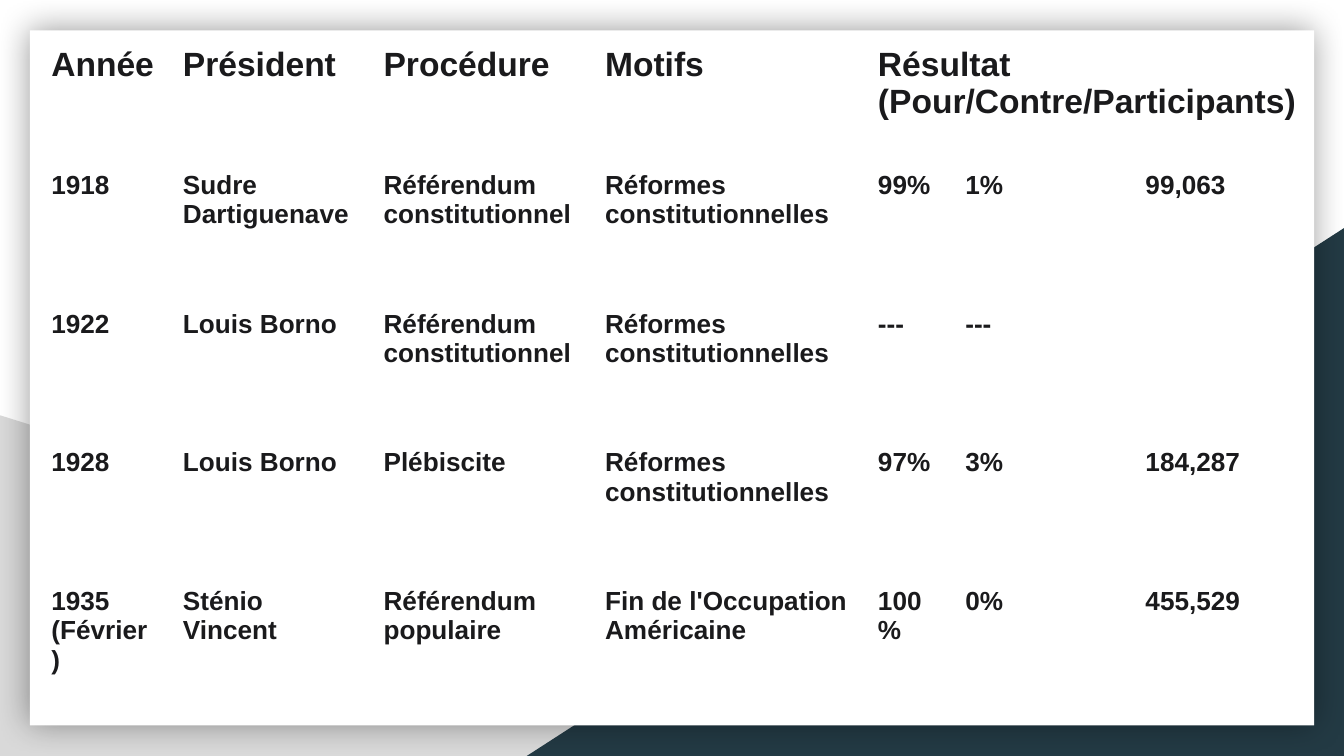
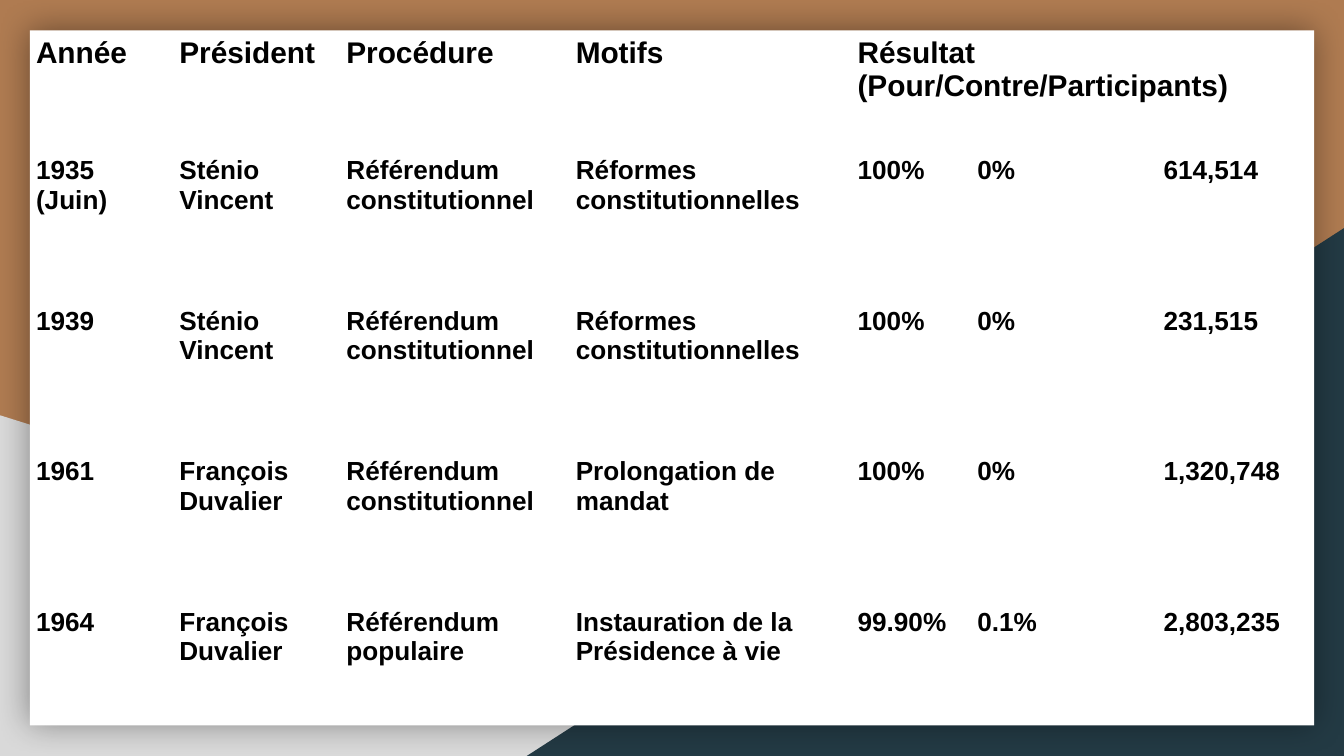
"""Build two slides that tabulate the referendums held in Haiti from 1918 to 1964."""

from dataclasses import dataclass

from lxml import etree
from pptx import Presentation
from pptx.dml.color import RGBColor
from pptx.enum.shapes import MSO_SHAPE
from pptx.oxml.ns import qn
from pptx.slide import Slide
from pptx.util import Pt

RECTANGLE = MSO_SHAPE.RECTANGLE
RIGHT_TRIANGLE = MSO_SHAPE.RIGHT_TRIANGLE

WHITE = RGBColor(0xFF, 0xFF, 0xFF)
BLACK = RGBColor(0x00, 0x00, 0x00)
INK = RGBColor(0x1A, 0x1A, 0x1C)
GREY = RGBColor(0xD9, 0xD9, 0xD9)
TEAL = RGBColor(0x23, 0x3A, 0x44)
COPPER = RGBColor(0xAF, 0x7B, 0x51)

FONT = "Arial"
BODY_SIZE = 14
CELL_MARGIN = Pt(7.2)
PLAIN_TABLE_STYLE = "{2D5ABB26-0587-4C30-8999-92F81FD0307C}"
RESULT_COLUMN = 4
HEADINGS = ("Année", "Président", "Procédure", "Motifs", "Résultat (Pour/Contre/Participants)", "", "")

CONSTITUTIONAL = "Référendum constitutionnel"
POPULAR = "Référendum populaire"
REFORMS = "Réformes constitutionnelles"


@dataclass(frozen=True)
class Backdrop:
    """A shape behind the table, measured in points."""

    kind: MSO_SHAPE
    left: float
    top: float
    width: float
    height: float
    color: RGBColor
    flipped: bool = False
    shadowed: bool = False


@dataclass(frozen=True)
class VotePage:
    """One slide of votes, measured in points."""

    background: RGBColor
    ink: RGBColor
    heading_size: float
    left: float
    top: float
    widths: tuple[float, ...]
    heading_height: float
    row_height: float
    votes: tuple[tuple[str, ...], ...]


BACKDROPS = (
    Backdrop(RIGHT_TRIANGLE, 0, 222.5, 580.3, 182.5, GREY),
    Backdrop(RIGHT_TRIANGLE, 282.2, 122.2, 437.8, 282.8, TEAL, flipped=True),
    Backdrop(RECTANGLE, 16, 16.2, 688, 372.4, WHITE, shadowed=True),
)

PAGES = (
    VotePage(
        WHITE, INK, 18, 20.3, 17.3, (70.5, 107.5, 118.7, 146.2, 46.8, 96.5, 96.5), 67, 74.3,
        (
            ("1918", "Sudre Dartiguenave", CONSTITUTIONAL, REFORMS, "99%", "1%", "99,063"),
            ("1922", "Louis Borno", CONSTITUTIONAL, REFORMS, "---", "---", ""),
            ("1928", "Louis Borno", "Plébiscite", REFORMS, "97%", "3%", "184,287"),
            ("1935 (Février)", "Sténio Vincent", POPULAR, "Fin de l'Occupation Américaine",
             "100%", "0%", "455,529"),
        ),
    ),
    VotePage(
        COPPER, BLACK, 16, 12.1, 12.2, (76.8, 89.5, 122.9, 151, 64.1, 99.8, 99.8), 64.2, 80.7,
        (
            ("1935 (Juin)", "Sténio Vincent", CONSTITUTIONAL, REFORMS, "100%", "0%", "614,514"),
            ("1939", "Sténio Vincent", CONSTITUTIONAL, REFORMS, "100%", "0%", "231,515"),
            ("1961", "François Duvalier", CONSTITUTIONAL, "Prolongation de mandat",
             "100%", "0%", "1,320,748"),
            ("1964", "François Duvalier", POPULAR, "Instauration de la Présidence à vie",
             "99.90%", "0.1%", "2,803,235"),
        ),
    ),
)


def draw_backdrop(slide: Slide, item: Backdrop) -> None:
    """Draw one borderless shape, mirrored or with a soft shadow if asked."""
    shape = slide.shapes.add_shape(
        item.kind, Pt(item.left), Pt(item.top), Pt(item.width), Pt(item.height)
    )
    shape.fill.solid()
    shape.fill.fore_color.rgb = item.color
    shape.line.fill.background()
    shape.shadow.inherit = False
    properties = shape.element.spPr
    if item.flipped:
        properties.find(qn("a:xfrm")).set("flipH", "1")
    if item.shadowed:
        shadow = etree.SubElement(
            properties.find(qn("a:effectLst")), qn("a:outerShdw"),
            blurRad=str(Pt(18)), dist="0", dir="0", algn="ctr", rotWithShape="0",
        )
        color = etree.SubElement(shadow, qn("a:srgbClr"), val=str(BLACK))
        etree.SubElement(color, qn("a:alpha"), val="40000")


def draw_votes(slide: Slide, page: VotePage) -> None:
    """Draw the table of votes with one heading across the result columns."""
    rows = (HEADINGS, *page.votes)
    heights = [page.heading_height] + [page.row_height] * len(page.votes)
    frame = slide.shapes.add_table(
        len(rows), len(HEADINGS), Pt(page.left), Pt(page.top),
        Pt(sum(page.widths)), Pt(sum(heights)),
    )
    table = frame.table
    table.first_row = False
    table.horz_banding = False
    table._tbl.tblPr.find(qn("a:tableStyleId")).text = PLAIN_TABLE_STYLE
    for column, width in zip(table.columns, page.widths):
        column.width = Pt(width)
    for row_index, (texts, height) in enumerate(zip(rows, heights)):
        table.rows[row_index].height = Pt(height)
        size = BODY_SIZE if row_index else page.heading_size
        for column_index, text in enumerate(texts):
            cell = table.cell(row_index, column_index)
            cell.fill.background()
            cell.margin_left = cell.margin_right = CELL_MARGIN
            cell.margin_top = cell.margin_bottom = CELL_MARGIN
            cell.text = text
            font = cell.text_frame.paragraphs[0].font
            font.name = FONT
            font.size = Pt(size)
            font.bold = True
            font.color.rgb = page.ink
    table.cell(0, RESULT_COLUMN).merge(table.cell(0, len(HEADINGS) - 1))


def main() -> None:
    """Build and save the deck."""
    deck = Presentation()
    deck.slide_width = Pt(720)
    deck.slide_height = Pt(405)
    blank = deck.slide_layouts[6]
    for page in PAGES:
        slide = deck.slides.add_slide(blank)
        slide.background.fill.solid()
        slide.background.fill.fore_color.rgb = page.background
        for item in BACKDROPS:
            draw_backdrop(slide, item)
        draw_votes(slide, page)
    deck.save("out.pptx")


if __name__ == "__main__":
    main()
